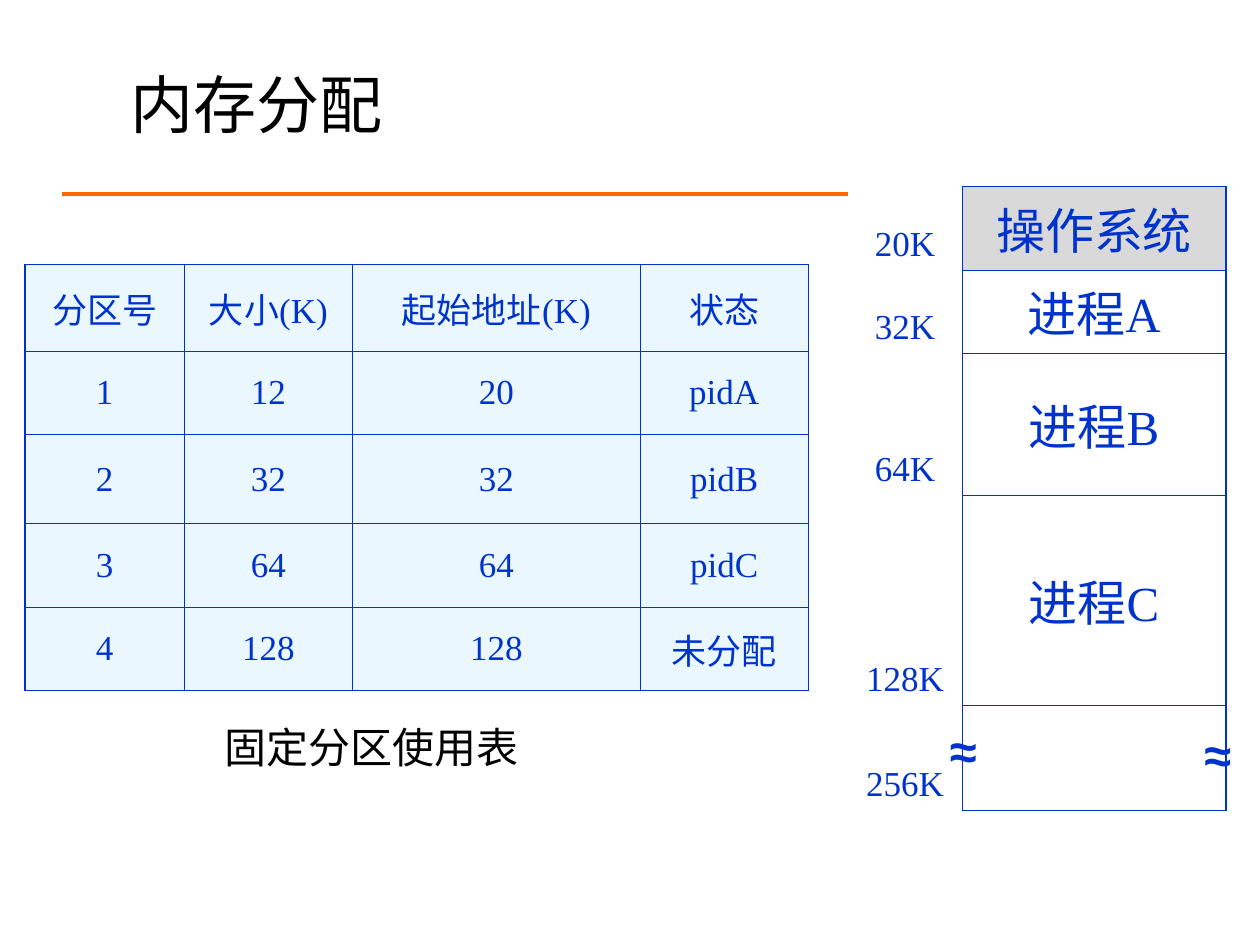
from collections import namedtuple

from lxml.etree import SubElement
from pptx import Presentation
from pptx.dml.color import RGBColor
from pptx.enum.shapes import MSO_CONNECTOR
from pptx.enum.text import MSO_ANCHOR, PP_ALIGN
from pptx.oxml import parse_xml
from pptx.oxml.ns import nsdecls, qn
from pptx.util import Cm, Pt

BLACK = RGBColor(0x00, 0x00, 0x00)
WHITE = RGBColor(0xFF, 0xFF, 0xFF)
BLUE = RGBColor(0x00, 0x33, 0xCC)
ORANGE = RGBColor(0xFF, 0x66, 0x00)
PALE_BLUE = RGBColor(0xEB, 0xF7, 0xFF)
GREY = RGBColor(0xD9, 0xD9, 0xD9)

THICK, THIN = 1.08, 0.45
SANS, SERIF = "Arial", "Times New Roman"

Box = namedtuple("Box", "left top width height")

PARTITIONS = [
    ("分区号", "大小(K)", "起始地址(K)", "状态"),
    ("1", "12", "20", "pidA"),
    ("2", "32", "32", "pidB"),
    ("3", "64", "64", "pidC"),
    ("4", "128", "128", "未分配"),
]
PARTITION_COLUMNS = (3.2, 3.4, 5.79, 3.4)
PARTITION_ROWS = (1.75, 1.68, 1.8, 1.68, 1.68)

# end address, occupant, height
MEMORY = [
    ("20K", "操作系统", 1.68),
    ("32K", "进程A", 1.68),
    ("64K", "进程B", 2.87),
    ("128K", "进程C", 4.22),
    ("256K", "", 2.13),
]
MEMORY_COLUMNS = (2.31, 5.31)


def add_run(paragraph, text, size, font, colour, bold=False):
    run = paragraph.add_run()
    run.text = text
    run.font.size = Pt(size)
    run.font.name = font
    run.font.bold = bold
    run.font.color.rgb = colour


def add_text(slide, box, text, size, colour, bold=False, anchor=MSO_ANCHOR.TOP):
    frame = slide.shapes.add_textbox(*map(Cm, box)).text_frame
    frame.word_wrap = True
    frame.vertical_anchor = anchor
    add_run(frame.paragraphs[0], text, size, SANS, colour, bold)


def add_grid(slide, box, columns, rows):
    """Add an unstyled table with the given column widths and row heights."""
    table = slide.shapes.add_table(len(rows), len(columns), *map(Cm, box)).table
    table.first_row = table.horz_banding = False
    for column, width in zip(table.columns, columns):
        column.width = Cm(width)
    for row, height in zip(table.rows, rows):
        row.height = Cm(height)
    return table


def set_borders(cell, left=0, right=0, top=0, bottom=0):
    """Draw the cell's sides in blue at these point widths; 0 hides a side."""
    properties = cell._tc.get_or_add_tcPr()
    sides = {"L": left, "R": right, "T": top, "B": bottom}
    for index, (side, width) in enumerate(sides.items()):
        line = parse_xml(f'<a:ln{side} {nsdecls("a")} w="{Pt(width)}"/>')
        if width:
            fill = SubElement(line, qn("a:solidFill"))
            SubElement(fill, qn("a:srgbClr"), val=str(BLUE))
        else:
            SubElement(line, qn("a:noFill"))
        properties.insert(index, line)


def fill_cell(cell, text, size, colour, anchor=MSO_ANCHOR.MIDDLE):
    cell.fill.solid()
    cell.fill.fore_color.rgb = colour
    cell.vertical_anchor = anchor
    paragraph = cell.text_frame.paragraphs[0]
    paragraph.alignment = PP_ALIGN.CENTER
    if text:
        add_run(paragraph, text, size, SERIF, BLUE)


def add_heading(slide, box):
    rule_y = Cm(box.top + box.height)
    rule = slide.shapes.add_connector(
        MSO_CONNECTOR.STRAIGHT, Cm(box.left), rule_y, Cm(box.left + box.width), rule_y)
    rule.line.color.rgb = ORANGE
    rule.line.width = Pt(2.25)
    SubElement(rule._element.spPr, qn("a:effectLst"))
    title = Box(box.left + 1.15, box.top, box.width - 1.61, 1.8)
    add_text(slide, title, "内存分配", 36, BLACK, anchor=MSO_ANCHOR.MIDDLE)


def add_partition_table(slide, box):
    caption = Box(box.left + 3.76, box.top + box.height + 0.51, 7.01, 1.4)
    add_text(slide, caption, "固定分区使用表", 24, BLACK)

    table = add_grid(slide, box, PARTITION_COLUMNS, PARTITION_ROWS)
    last_row, last_column = len(PARTITION_ROWS) - 1, len(PARTITION_COLUMNS) - 1
    for r, values in enumerate(PARTITIONS):
        for c, value in enumerate(values):
            cell = table.cell(r, c)
            fill_cell(cell, value, 20, PALE_BLUE)
            set_borders(
                cell,
                left=THICK if c == 0 else THIN,
                right=THICK if c == last_column else THIN,
                top=THICK if r == 0 else THIN,
                bottom=THICK if r == last_row else THIN,
            )


def add_memory_map(slide, box):
    """Stack the memory areas with end addresses, and mark the cut in the last."""
    table = add_grid(slide, box, MEMORY_COLUMNS, [height for *_, height in MEMORY])
    last = len(MEMORY) - 1
    for r, (address, occupant, _) in enumerate(MEMORY):
        address_cell, area_cell = table.cell(r, 0), table.cell(r, 1)
        fill_cell(address_cell, address, 20, WHITE, MSO_ANCHOR.BOTTOM)
        set_borders(address_cell, right=THIN)
        fill_cell(area_cell, occupant, 28, GREY if r == 0 else WHITE)
        set_borders(
            area_cell,
            left=THIN,
            right=THICK,
            top=THICK if r == 0 else THIN,
            bottom=THICK if r == last else THIN,
        )

    left_cut = Box(box.left + MEMORY_COLUMNS[0] - 0.5, box.top + 10.64, 1.7, 1.45)
    right_cut = Box(box.left + box.width - 0.68, box.top + 10.72, 1.55, 1.45)
    for cut in (right_cut, left_cut):
        add_text(slide, cut, "≈", 28, BLUE, bold=True)


def main():
    presentation = Presentation()
    presentation.slide_width, presentation.slide_height = Cm(25.4), Cm(19.05)
    slide = presentation.slides.add_slide(presentation.slide_layouts[6])
    add_heading(slide, Box(1.24, 1.19, 23.07, 2.72))
    add_partition_table(
        slide, Box(0.51, 5.33, sum(PARTITION_COLUMNS), sum(PARTITION_ROWS)))
    add_memory_map(
        slide, Box(17.09, 3.76, sum(MEMORY_COLUMNS), sum(row[2] for row in MEMORY)))
    presentation.save("out.pptx")


if __name__ == "__main__":
    main()
